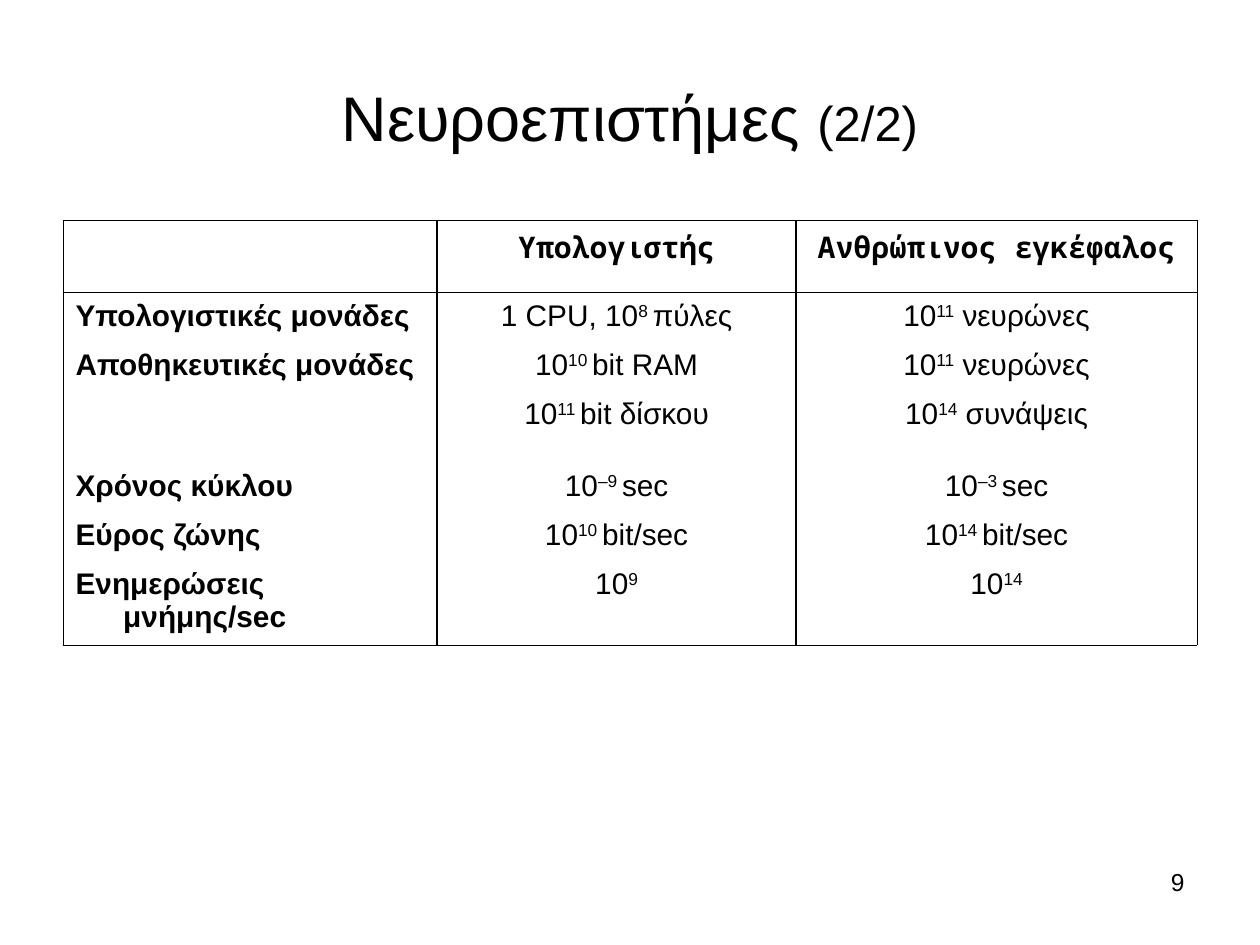
from dataclasses import dataclass

from lxml import etree
from pptx import Presentation
from pptx import util as u
from pptx.dml import color
from pptx.enum import text
from pptx.oxml import ns


@dataclass(frozen=True)
class Theme:
    ink: color.RGBColor = color.RGBColor(0, 0, 0)
    body_font: str = "Arial"
    header_font: str = "Noto Sans Mono"
    title_size: int = 36
    counter_size: int = 28
    table_size: int = 17
    number_size: int = 14
    outer_line: float = 0.45
    inner_line: float = 1.08


THEME = Theme()

# Text between carets is raised
ROWS = [
    ("", "Υπολογιστής", "Ανθρώπινος εγκέφαλος"),
    ("Υπολογιστικές μονάδες", "1 CPU, 10^8 ^πύλες", "10^11^ νευρώνες"),
    ("Αποθηκευτικές μονάδες", "10^10 ^bit RAM", "10^11^ νευρώνες"),
    ("", "10^11 ^bit δίσκου", "10^14^ συνάψεις"),
    ("Χρόνος κύκλου", "10^–9 ^sec", "10^–3 ^sec"),
    ("Εύρος ζώνης", "10^10 ^bit/sec", "10^14 ^bit/sec"),
    ("Ενημερώσεις μνήμης/sec", "10^9^", "10^14^"),
]
COLUMN_WIDTHS = (7.54, 7.24, 8.08)
ROW_HEIGHTS = (1.45, 0.99, 0.99, 1.45, 0.99, 0.99, 1.69)


def style_font(font, size, name=THEME.body_font, bold=False):
    font.size = u.Pt(size)
    font.name = name
    font.bold = bold
    font.color.rgb = THEME.ink


def add_text(page, left, top, width, height, align, anchor):
    box = page.shapes.add_textbox(u.Cm(left), u.Cm(top), u.Cm(width), u.Cm(height))
    box.text_frame.word_wrap = True
    box.text_frame.vertical_anchor = anchor
    para = box.text_frame.paragraphs[0]
    para.alignment = align
    return para


def add_span(para, words):
    span = para.add_run()
    span.text = words
    return span


def set_borders(cell, widths):
    """Draw the four sides; a width of None leaves that side open."""
    properties = cell._tc.get_or_add_tcPr()
    for side in "LRTB":
        line = etree.SubElement(properties, ns.qn(f"a:ln{side}"))
        width = widths[side]
        if width is None:
            etree.SubElement(line, ns.qn("a:noFill"))
            continue
        line.set("w", str(int(u.Pt(width))))
        fill = etree.SubElement(line, ns.qn("a:solidFill"))
        etree.SubElement(fill, ns.qn("a:srgbClr"), val=str(THEME.ink))


def fill_cell(cell, words, is_header, is_label):
    para = cell.text_frame.paragraphs[0]
    para.alignment = text.PP_ALIGN.JUSTIFY if is_label else text.PP_ALIGN.CENTER
    style_font(para.font, THEME.table_size,
               THEME.header_font if is_header else THEME.body_font,
               is_header or is_label)
    # Hanging indent
    indent = u.Cm(0.96)
    properties = para._p.get_or_add_pPr()
    properties.set("marL", str(int(indent)))
    properties.set("indent", str(-int(indent)))
    for index, part in enumerate(words.split("^")):
        if part:
            span = add_span(para, part)
            if index % 2:
                span._r.get_or_add_rPr().set("baseline", "30000")


def add_comparison_table(page):
    frame = page.shapes.add_table(len(ROWS), len(COLUMN_WIDTHS), u.Cm(1.27), u.Cm(4.45),
                                  u.Cm(sum(COLUMN_WIDTHS)), u.Cm(sum(ROW_HEIGHTS)))
    table = frame.table
    table.first_row = table.horz_banding = False
    for column, width in zip(table.columns, COLUMN_WIDTHS):
        column.width = u.Cm(width)
    for row, height in zip(table.rows, ROW_HEIGHTS):
        row.height = u.Cm(height)

    last_row, last_column = len(ROWS) - 1, len(COLUMN_WIDTHS) - 1
    for r, row in enumerate(ROWS):
        for c, words in enumerate(row):
            cell = table.cell(r, c)
            fill_cell(cell, words, r == 0, c == 0)
            set_borders(cell, {
                "L": THEME.outer_line if c == 0 else THEME.inner_line,
                "R": THEME.outer_line if c == last_column else THEME.inner_line,
                "T": THEME.outer_line if r <= 1 else None,
                "B": THEME.outer_line if r in (0, last_row) else None,
            })
            cell.fill.background()


def main():
    deck = Presentation()
    deck.slide_width, deck.slide_height = u.Cm(25.4), u.Cm(19.05)
    page = deck.slides.add_slide(deck.slide_layouts[6])

    # Title with its smaller counter
    title = add_text(page, 1.27, 0.76, 22.86, 3.18,
                     text.PP_ALIGN.CENTER, text.MSO_ANCHOR.MIDDLE)
    style_font(title.font, THEME.title_size)
    add_span(title, "Νευροεπιστήμες ")
    add_span(title, "(2/2)").font.size = u.Pt(THEME.counter_size)

    # Computer and brain compared
    add_comparison_table(page)

    # Page number
    number = add_text(page, 18.2, 17.35, 5.93, 1.32,
                      text.PP_ALIGN.RIGHT, text.MSO_ANCHOR.TOP)
    style_font(number.font, THEME.number_size)
    add_span(number, "9")

    deck.save("out.pptx")


if __name__ == "__main__":
    main()
